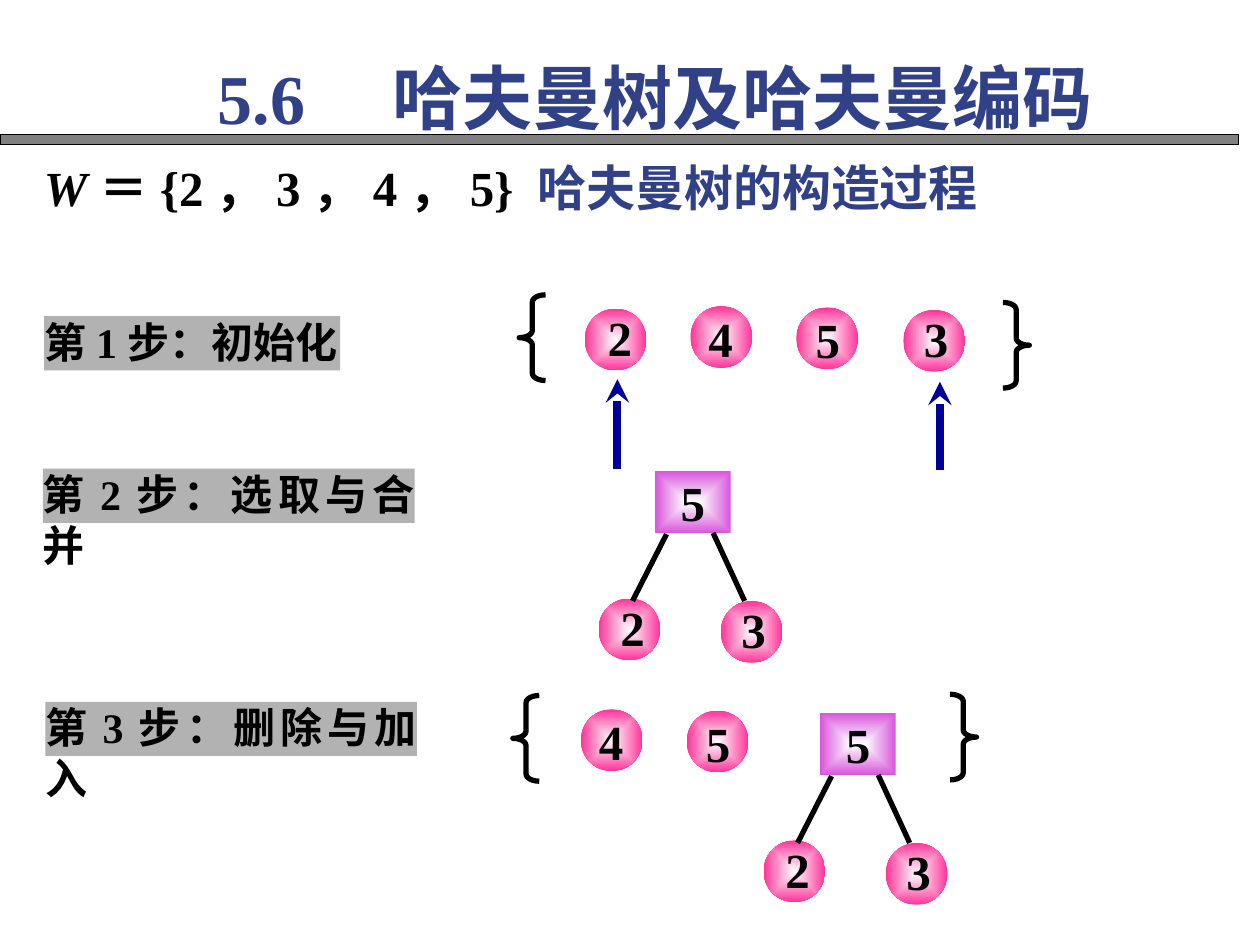
from lxml import etree
from pptx import Presentation
from pptx.dml.color import RGBColor
from pptx.enum.shapes import MSO_CONNECTOR, MSO_SHAPE
from pptx.enum.text import MSO_ANCHOR, PP_ALIGN
from pptx.oxml.ns import qn
from pptx.util import Pt

RECT, OVAL = MSO_SHAPE.RECTANGLE, MSO_SHAPE.OVAL
LEFT_BRACE, RIGHT_BRACE = MSO_SHAPE.LEFT_BRACE, MSO_SHAPE.RIGHT_BRACE
STRAIGHT = MSO_CONNECTOR.STRAIGHT
LEFT, CENTER, JUSTIFY = PP_ALIGN.LEFT, PP_ALIGN.CENTER, PP_ALIGN.JUSTIFY
TOP = MSO_ANCHOR.TOP

SCALE = 9144  # EMU in one px, 100 px to the inch
SERIF, CJK = "Times New Roman", "Noto Sans CJK SC"
BLACK, GRAY, SILVER, WHITE = "000000", "808080", "B2B2B2", "FFFFFF"
BLUE, NAVY, PINK, VIOLET = "314187", "000099", "FF3399", "D955DC"
CIRCLE = 49


def px(value):
    return value * SCALE


def color(value):
    return RGBColor.from_string(value)


class SlideBuilder:
    def __init__(self, slide):
        self.shapes = slide.shapes

    def shape(self, kind, x, y, width, height, fill=None, line=None, weight=1):
        shape = self.shapes.add_shape(kind, px(x), px(y), px(width), px(height))
        shape.shadow.inherit = False
        if fill:
            shape.fill.solid()
            shape.fill.fore_color.rgb = color(fill)
        else:
            shape.fill.background()
        if line:
            shape.line.color.rgb = color(line)
            shape.line.width = Pt(weight)
        else:
            shape.line.fill.background()
        return shape

    def glow(self, kind, x, y, width, height, edge):
        """A shape whose fill runs from a white centre to the edge colour."""
        shape = self.shape(kind, x, y, width, height)
        shape.fill.gradient()
        for stop, value in zip(shape.fill.gradient_stops, (WHITE, edge)):
            stop.color.rgb = color(value)
        gradient = shape._element.spPr.find(qn("a:gradFill"))
        gradient.remove(gradient.find(qn("a:lin")))
        center = etree.SubElement(gradient, qn("a:path"), path="rect")
        etree.SubElement(center, qn("a:fillToRect"),
                         l="50000", t="50000", r="50000", b="50000")
        return shape

    def set_text(self, box, runs, size, align=LEFT, insets=(0, 0), tab=None):
        """Fill a box with runs of (text, font, colour, italic)."""
        frame = box.text_frame
        frame.word_wrap = True
        frame.vertical_anchor = TOP
        frame.margin_left = frame.margin_right = px(insets[0])
        frame.margin_top = frame.margin_bottom = px(insets[1])
        para = frame.paragraphs[0]
        para.alignment = align
        if tab:
            tabs = etree.SubElement(para._p.get_or_add_pPr(), qn("a:tabLst"))
            etree.SubElement(tabs, qn("a:tab"), pos=str(px(tab)), algn="l")
        for text, font, value, italic in runs:
            span = para.add_run()
            span.text = text
            span.font.name = font
            span.font.size = Pt(size)
            span.font.bold = True
            span.font.italic = italic
            span.font.color.rgb = color(value)

    def text(self, x, y, width, height, runs, size, **style):
        box = self.shapes.add_textbox(px(x), px(y), px(width), px(height))
        self.set_text(box, runs, size, **style)

    def step(self, x, y, width, label):
        box = self.shape(RECT, x, y, width, 43, fill=SILVER)
        self.set_text(box, [(label, SERIF, BLACK, False)], 24, align=JUSTIFY)

    def node(self, x, y, label, shift_x, shift_y):
        """A leaf circle with its number, shifted from the circle's corner."""
        self.glow(OVAL, x, y, CIRCLE, CIRCLE, PINK)
        self.text(x + shift_x, y + shift_y, 42, 57,
                  [(label, SERIF, BLACK, False)], 28, align=CENTER)

    def line(self, x1, y1, x2, y2, value, weight, arrow=None):
        line = self.shapes.add_connector(STRAIGHT, px(x1), px(y1), px(x2), px(y2))
        line.line.color.rgb = color(value)
        line.line.width = Pt(weight)
        if arrow:
            outline = line._element.spPr.find(qn("a:ln"))
            etree.SubElement(outline, qn("a:tailEnd"), type=arrow)
        etree.SubElement(line._element.spPr, qn("a:effectLst"))

    def brace(self, kind, x, y):
        brace = self.shape(kind, x, y, 21, 68, line=BLACK, weight=3)
        brace.adjustments[0] = 0.27

    def tree(self, x, y):
        """The merged tree: root 5 with the leaves 2 and 3."""
        self.node(x - 45, y + 101, "2", 6, -1)
        self.node(x + 52, y + 103, "3", 5, -1)
        root = self.glow(RECT, x, y, 60, 49, VIOLET)
        self.set_text(root, [("5", SERIF, BLACK, False)], 28,
                      align=CENTER, insets=(6, 1))
        self.line(x + 9, y + 50, x - 18, y + 103, BLACK, 3)
        self.line(x + 46, y + 49, x + 71, y + 103, BLACK, 3)


def main():
    deck = Presentation()
    deck.slide_width, deck.slide_height = px(1000), px(750)
    page = SlideBuilder(deck.slides.add_slide(deck.slide_layouts[6]))

    # Heading and rule
    page.shape(RECT, 0, 107, 983, 8, fill=GRAY, line=BLACK, weight=0.75)
    page.text(163, 38, 771, 77,
              [("5.6\t哈夫曼树及哈夫曼编码", SERIF, BLUE, False)],
              40, insets=(10, 5), tab=139)

    # Weights
    weights = [("W", SERIF, BLACK, True), ("＝", CJK, BLACK, False)]
    for number in ("{2", "3", "4"):
        weights += [(number, SERIF, BLACK, False), ("，", CJK, BLACK, False)]
    weights += [("5} ", SERIF, BLACK, False),
                ("哈夫曼树的构造过程", CJK, BLUE, False)]
    page.text(25, 120, 925, 57, weights, 28, insets=(10, 5))

    # Step labels
    page.step(35, 251, 235, "第1步：初始化")
    page.step(34, 372, 295, "第2步：选取与合并")
    page.step(36, 557, 295, "第3步：删除与加入")

    # Step 1: the starting set, with the two smallest marked
    page.brace(LEFT_BRACE, 412, 234)
    page.node(464, 245, "2", 7, -1)
    page.node(548, 243, "4", 3, 2)
    page.node(632, 244, "5", 4, 2)
    page.node(717, 246, "3", 5, -1)
    page.brace(RIGHT_BRACE, 796, 240)
    page.line(490, 372, 490, 301, NAVY, 4.5, arrow="stealth")
    page.line(746, 373, 746, 303, NAVY, 4.5, arrow="stealth")

    # Step 2: the merged pair
    page.tree(520, 374)

    # Step 3: the new set
    page.brace(LEFT_BRACE, 407, 552)
    page.node(461, 563, "4", 3, 2)
    page.node(545, 564, "5", 4, 2)
    page.tree(651, 566)
    page.brace(RIGHT_BRACE, 754, 551)

    deck.save("out.pptx")


if __name__ == "__main__":
    main()
